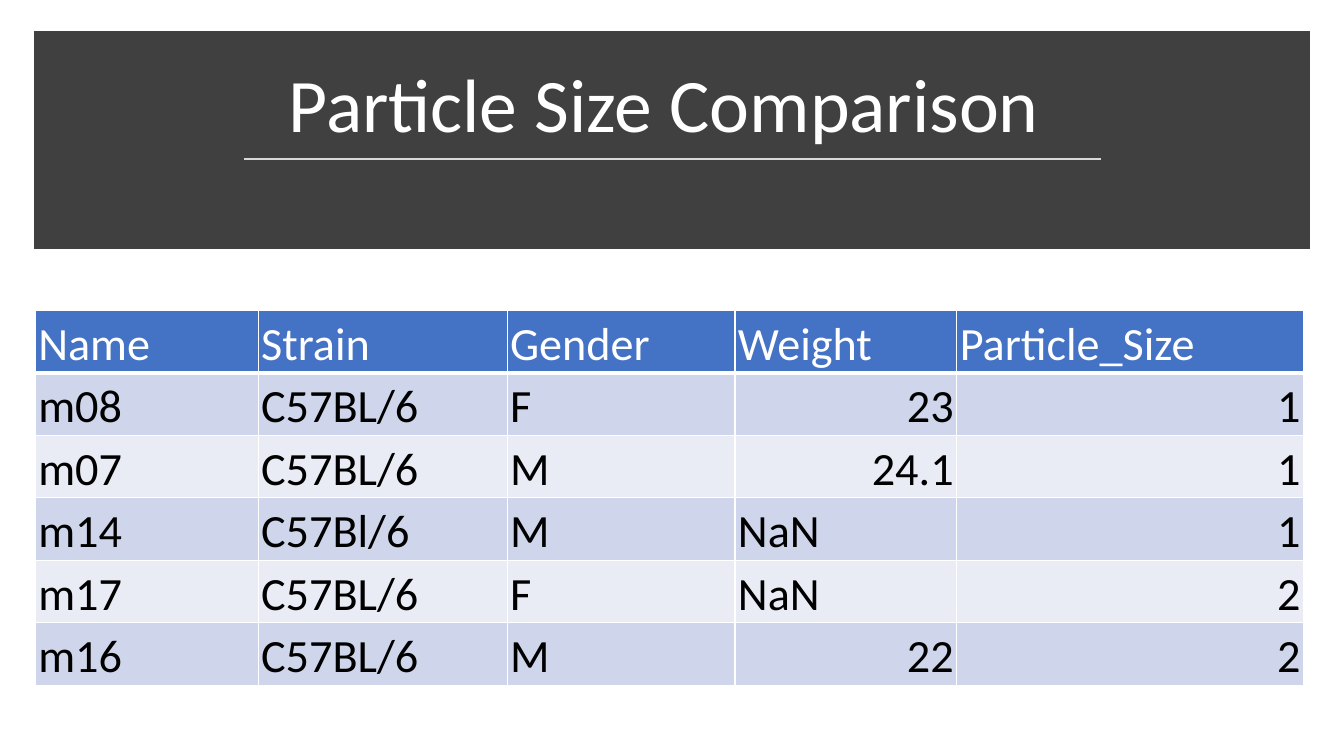
from dataclasses import dataclass

from lxml.etree import SubElement
from pptx import Presentation
from pptx.dml.color import RGBColor
from pptx.enum.shapes import MSO_CONNECTOR, MSO_SHAPE
from pptx.enum.text import MSO_ANCHOR as Anchor, PP_ALIGN as Align
from pptx.oxml.ns import qn
from pptx.slide import Slide
from pptx.table import _Cell as Cell
from pptx.text.text import TextFrame
from pptx.util import Inches, Pt


@dataclass(frozen=True)
class Theme:
    font: str = "Calibri"
    title_size: float = 54
    table_size: float = 33
    banner: str = "404040"
    rule: str = "D9D9D9"
    header: str = "4472C4"
    bands: tuple[str, str] = ("CFD5EA", "E9EBF5")
    white: str = "FFFFFF"
    black: str = "000000"


@dataclass(frozen=True)
class Column:
    heading: str
    width: float
    values: tuple[str, ...]


THEME = Theme()
ROW_HEIGHT = 0.62
COLUMNS = (
    Column("Name", 2.21, ("m08", "m07", "m14", "m17", "m16")),
    Column("Strain", 2.47, ("C57BL/6", "C57BL/6", "C57Bl/6", "C57BL/6", "C57BL/6")),
    Column("Gender", 2.26, ("F", "M", "M", "F", "M")),
    Column("Weight", 2.2, ("23", "24.1", "NaN", "NaN", "22")),
    Column("Particle_Size", 3.44, ("1", "1", "1", "2", "2")),
)


def write_text(frame: TextFrame, text: str, *, size: float, color: str,
               align: Align = Align.LEFT, line_spacing: float = 1.0) -> None:
    paragraph = frame.paragraphs[0]
    paragraph.alignment = align
    paragraph.line_spacing = line_spacing
    run = paragraph.add_run()
    run.text = text
    run.font.name = THEME.font
    run.font.size = Pt(size)
    run.font.color.rgb = RGBColor.from_string(color)


def add_banner(slide: Slide) -> None:
    banner = slide.shapes.add_shape(MSO_SHAPE.RECTANGLE, Inches(0.41), Inches(0.38),
                                    Inches(12.51), Inches(2.02))
    banner.shadow.inherit = False
    banner.fill.solid()
    banner.fill.fore_color.rgb = RGBColor.from_string(THEME.banner)
    banner.line.color.rgb = RGBColor.from_string(THEME.banner)
    banner.line.width = Pt(10)
    # Mitred corners keep the thick outline square.
    SubElement(banner.line._get_or_add_ln(), qn("a:miter"), lim="800000")


def add_title(slide: Slide) -> None:
    title = slide.shapes.add_textbox(Inches(0.58), Inches(0.51), Inches(12.18), Inches(1.02))
    title.text_frame.word_wrap = True
    title.text_frame.vertical_anchor = Anchor.BOTTOM
    write_text(title.text_frame, "Particle Size Comparison ", size=THEME.title_size,
               color=THEME.white, align=Align.CENTER, line_spacing=0.9)


def add_rule(slide: Slide) -> None:
    rule = slide.shapes.add_connector(MSO_CONNECTOR.STRAIGHT, Inches(2.42), Inches(1.58),
                                      Inches(10.92), Inches(1.58))
    rule.line.color.rgb = RGBColor.from_string(THEME.rule)
    rule.line.width = Pt(1.75)
    SubElement(rule._element.spPr, qn("a:effectLst"))


def format_cell(cell: Cell, fill: str, bottom_width: float) -> None:
    """Set borders, then fill: the schema wants them in this order."""
    properties = cell._tc.get_or_add_tcPr()
    for side, width in (("L", 1), ("R", 1), ("T", 1), ("B", bottom_width)):
        border = SubElement(properties, qn(f"a:ln{side}"), w=str(Pt(width)))
        SubElement(SubElement(border, qn("a:solidFill")), qn("a:srgbClr"), val=THEME.white)
    cell.fill.solid()
    cell.fill.fore_color.rgb = RGBColor.from_string(fill)
    cell.margin_left = cell.margin_right = cell.margin_top = Inches(0.03)
    cell.margin_bottom = 0
    cell.vertical_anchor = Anchor.BOTTOM


def add_mouse_table(slide: Slide) -> None:
    row_count = len(COLUMNS[0].values) + 1
    width = sum(column.width for column in COLUMNS)
    table = slide.shapes.add_table(row_count, len(COLUMNS), Inches(0.35), Inches(3.08),
                                   Inches(width), Inches(ROW_HEIGHT * row_count)).table
    for row in table.rows:
        row.height = Inches(ROW_HEIGHT)
    for column_index, column in enumerate(COLUMNS):
        table.columns[column_index].width = Inches(column.width)
        for row_index, text in enumerate((column.heading, *column.values)):
            is_header = row_index == 0
            is_number = text.replace(".", "").isdigit()
            cell = table.cell(row_index, column_index)
            fill = THEME.header if is_header else THEME.bands[(row_index - 1) % 2]
            format_cell(cell, fill, bottom_width=3 if is_header else 1)
            write_text(cell.text_frame, text, size=THEME.table_size,
                       color=THEME.white if is_header else THEME.black,
                       align=Align.RIGHT if is_number else Align.LEFT)


def main() -> None:
    presentation = Presentation()
    presentation.slide_width = Inches(13.33)
    presentation.slide_height = Inches(7.5)
    slide = presentation.slides.add_slide(presentation.slide_layouts[6])
    add_banner(slide)
    add_title(slide)
    add_rule(slide)
    add_mouse_table(slide)
    presentation.save("out.pptx")


if __name__ == "__main__":
    main()
